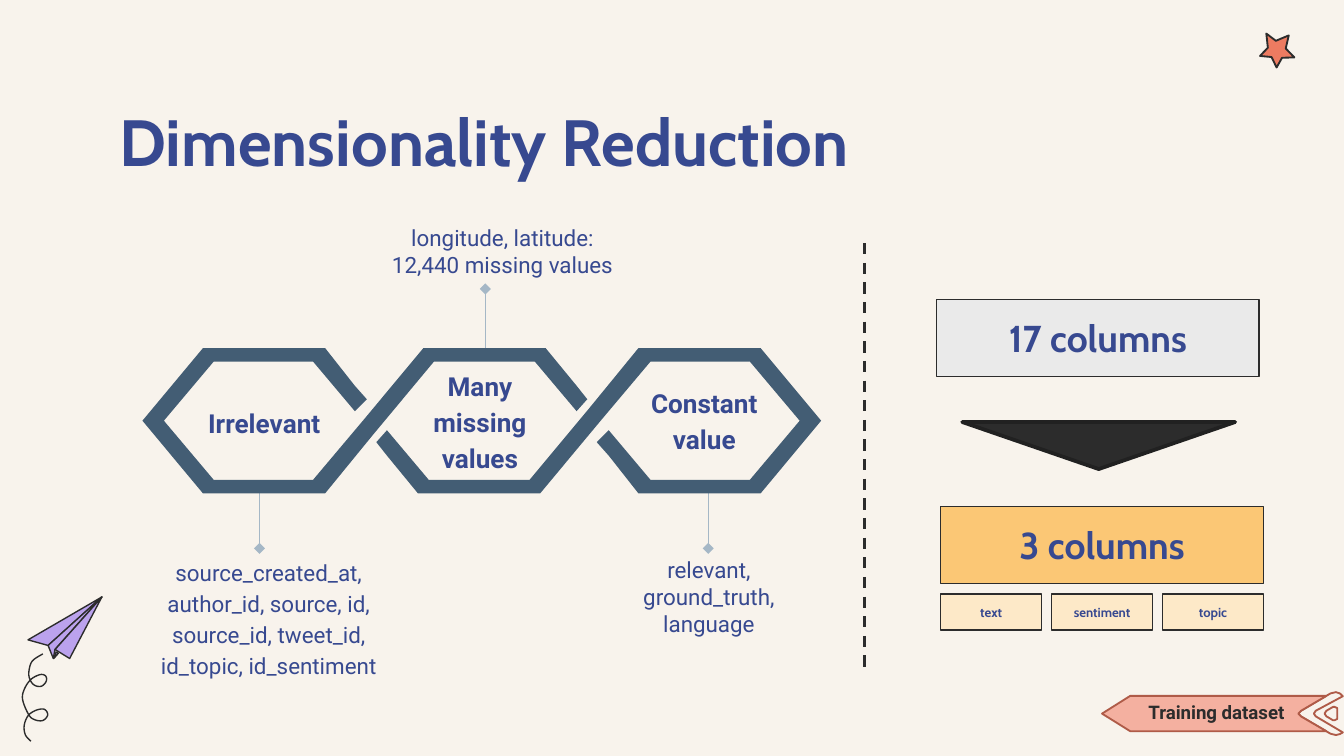
from collections import namedtuple
from dataclasses import dataclass

from lxml import etree
from pptx import Presentation
from pptx.dml.color import RGBColor
from pptx.enum.dml import MSO_LINE
from pptx.enum.shapes import MSO_CONNECTOR, MSO_SHAPE
from pptx.enum.text import MSO_ANCHOR, PP_ALIGN
from pptx.oxml.ns import qn
from pptx.util import Pt

LEFT, CENTER = PP_ALIGN.LEFT, PP_ALIGN.CENTER
TOP, MIDDLE = MSO_ANCHOR.TOP, MSO_ANCHOR.MIDDLE
RECTANGLE, EXTRACT = MSO_SHAPE.RECTANGLE, MSO_SHAPE.FLOWCHART_EXTRACT
STRAIGHT, DASH = MSO_CONNECTOR.STRAIGHT, MSO_LINE.DASH

Box = namedtuple("Box", "left top width height")


@dataclass(frozen=True)
class Theme:
    paper: str = "F8F3EC"
    blue: str = "374990"
    ink: str = "2C2C2C"
    arrow_edge: str = "212121"
    chain: str = "435D74"
    leader: str = "A5B7C6"
    gray: str = "EAEAEA"
    amber: str = "FBC775"
    pale_amber: str = "FDE9C8"
    coral: str = "ED7B61"
    lilac: str = "BBA2ED"
    pink: str = "F4B0A0"
    rust: str = "AF5B48"
    heading_font: str = "Cabin"
    body_font: str = "Roboto"
    title: int = 35
    count: int = 20
    label: int = 14
    caption: int = 12
    tag: int = 10
    chip: int = 7


THEME = Theme()


def inside(box, left, top, width, height):
    return Box(box.left + left, box.top + top, width, height)


def points(box):
    return [Pt(length) for length in box]


def paint(shape, fill, edge=None, weight=0.75):
    shape.shadow.inherit = False
    if fill:
        shape.fill.solid()
        shape.fill.fore_color.rgb = RGBColor.from_string(fill)
    else:
        shape.fill.background()
    if edge:
        shape.line.color.rgb = RGBColor.from_string(edge)
        shape.line.width = Pt(weight)
    else:
        shape.line.fill.background()


def write(shape, words, size, font=THEME.body_font, bold=False, color=THEME.blue,
          align=CENTER, anchor=TOP, inset=3.6, leading=None, around=None):
    frame = shape.text_frame
    frame.word_wrap = True
    frame.vertical_anchor = anchor
    frame.margin_left = frame.margin_right = Pt(7.2)
    frame.margin_top = frame.margin_bottom = Pt(inset)
    paragraph = frame.paragraphs[0]
    paragraph.text = words
    paragraph.alignment = align
    if leading:
        paragraph.line_spacing = leading
    if around:
        paragraph.space_before = paragraph.space_after = Pt(around)
    paragraph.font.name = font
    paragraph.font.size = Pt(size)
    paragraph.font.bold = bold
    paragraph.font.color.rgb = RGBColor.from_string(color)


def add_text(slide, box, words, size, **style):
    write(slide.shapes.add_textbox(*points(box)), words, size, **style)


def add_panel(slide, box, words, size, fill):
    panel = slide.shapes.add_shape(RECTANGLE, *points(box))
    paint(panel, fill, THEME.ink)
    write(panel, words, size, font=THEME.heading_font, bold=True,
          anchor=MIDDLE, inset=7.2)


def add_outline(slide, box, corners, fill, edge=None, weight=1, close=True):
    placed = [(Pt(box.left + x), Pt(box.top + y)) for x, y in corners]
    builder = slide.shapes.build_freeform(*placed[0])
    builder.add_line_segments(placed[1:], close=close)
    paint(builder.convert_to_shape(), fill, edge, weight)


def add_line(slide, start, end, color, weight):
    line = slide.shapes.add_connector(STRAIGHT, *points(start + end))
    line.line.color.rgb = RGBColor.from_string(color)
    line.line.width = Pt(weight)
    etree.SubElement(line._element.spPr, qn("a:effectLst"))
    return line


def smooth(knots, steps=6):
    padded = [knots[0], *knots, knots[-1]]
    curve = []
    for a, b, c, d in zip(padded, padded[1:], padded[2:], padded[3:]):
        for step in range(steps):
            t = step / steps
            curve.append(tuple(
                0.5 * (2 * q + (r - p) * t + (2 * p - 5 * q + 4 * r - s) * t ** 2
                       + (3 * q - p - 3 * r + s) * t ** 3)
                for p, q, r, s in zip(a, b, c, d)))
    return curve + [knots[-1]]


def draw_star(slide, box):
    corners = [(1, 13), (5.2, 8.6), (4.4, 1), (9.5, 4.9), (16.4, 2), (14.8, 9),
               (19.4, 13.8), (12.8, 14), (9.9, 19.2), (7.2, 13.6)]
    add_outline(slide, box, corners, THEME.coral, THEME.ink)


def draw_paper_plane(slide, box):
    tip = (39.6, 0)
    folds = [
        [tip, (0, 23), (10.8, 26)],
        [tip, (10.8, 26), (13.6, 33), (14.5, 28.2)],
        [tip, (14.5, 28.2), (22.3, 33)],
        [(15.1, 29.5), (16.3, 30.2), (13.8, 33)],
    ]
    for fold in folds:
        add_outline(slide, box, fold, THEME.lilac, THEME.ink, 0.75)
    trail = [(8, 30.5), (2.3, 34.4), (0.5, 40.2), (1.2, 44.5), (3.7, 47.4),
             (7.3, 47.8), (9.8, 45.2), (9.5, 42.4), (6.6, 41.6), (1.6, 44.2),
             (-2, 49.6), (-2.8, 55.2), (0.5, 63.2), (3.7, 65.8), (8, 66.2),
             (10.6, 63.2), (8.8, 60.2), (4.4, 60.7), (0.1, 63.6), (-2, 69),
             (-1.3, 74), (1.6, 77.3)]
    add_outline(slide, box, smooth(trail), None, THEME.ink, 0.75, close=False)


def draw_reasons(slide, box):
    for x, start, end in ((67, 143, 177.8), (307.4, 143, 177.8), (188, 74, 38.8)):
        leader = add_line(slide, (box.left + x, box.top + start),
                          (box.left + x, box.top + end), THEME.leader, 0.75)
        etree.SubElement(leader.line._get_or_add_ln(), qn("a:tailEnd"), type="diamond")

    chain = inside(box, 4.3, 70.5, 363.6, 77.8)
    links = [(32.4, 0), (0, 38.9), (32.4, 77.8), (97.9, 77.8), (123.8, 46.1),
             (156.2, 7.2), (210.2, 7.2), (232.6, 33.8), (238.3, 27.4),
             (232.6, 20.2), (216, 0), (150.5, 0), (118.1, 38.9), (91.4, 70.6),
             (38.2, 70.6), (11.5, 38.9), (38.2, 7.2), (91.4, 7.2),
             (113.8, 33.8), (120.2, 27.4), (113.8, 20.2), (97.9, 0)]
    turned = [(chain.width - x, chain.height - y) for x, y in links]
    for corners in (links, turned):
        add_outline(slide, chain, corners, THEME.chain)

    reasons = [("Irrelevant", 32.4, 96.4, 25, LEFT),
               ("Many missing values", 146.2, 76.2, 65, CENTER),
               ("Constant value", 266.4, 85.6, 45, CENTER)]
    for words, left, top, height, align in reasons:
        add_text(slide, inside(box, left, top, 77.8, height), words, THEME.label,
                 bold=True, align=align, leading=1.15, around=3)

    add_text(slide, inside(box, 2.2, 177.8, 139.7, 73),
             "source_created_at, author_id, source, id, source_id, tweet_id, "
             "id_topic, id_sentiment", THEME.caption, leading=1.15, around=3)
    add_text(slide, inside(box, 248.4, 178.5, 118.8, 51),
             "relevant, ground_truth, language", THEME.caption)
    add_text(slide, inside(box, 126.7, 0.6, 141.1, 36),
             "longitude, latitude: 12,440 missing values", THEME.caption)


def draw_reduction(slide, box):
    panel_width, panel_height = 172.8, 41
    add_panel(slide, inside(box, 0, 0, panel_width, panel_height),
              "17 columns", THEME.count, THEME.gray)
    arrow = slide.shapes.add_shape(EXTRACT, *points(inside(box, 13.7, 65.5, 146.2, 25.2)))
    arrow.rotation = 180
    paint(arrow, THEME.ink, THEME.arrow_edge, 2)
    kept = inside(box, 2.2, 110.9, panel_width, panel_height)
    add_panel(slide, kept, "3 columns", THEME.count, THEME.amber)

    columns = ("text", "sentiment", "topic")
    chip_width = 54
    pitch = (panel_width - chip_width) / (len(columns) - 1)
    for index, column in enumerate(columns):
        add_panel(slide, inside(kept, index * pitch, 46.7, chip_width, 19.4),
                  column, THEME.chip, THEME.pale_amber)


def draw_dataset_tag(slide, box):
    feather = [(125.3, 0), (127.4, 0.7), (129, 2.2), (114.5, 10), (113.5, 11.5),
               (114.5, 13), (129, 21.6), (127.4, 22.5), (125.3, 23),
               (122.4, 22.3), (106.6, 13), (105.2, 11.5), (106.6, 10), (122.4, 0.7)]
    notch = [(124.6, 7.9), (126, 8.6), (126, 14.4), (124.6, 15.1), (123.8, 15.1),
             (120.2, 13), (119.2, 11.5), (120.2, 10), (123.8, 7.9)]
    shaft = [(120.2, 2), (106.6, 10), (105.2, 11.5), (106.6, 13), (120.2, 20.9),
             (15.1, 20.9), (0, 11.5), (15.1, 2)]
    for corners, fill in ((feather, THEME.paper), (notch, THEME.paper), (shaft, THEME.pink)):
        add_outline(slide, box, corners, fill, THEME.rust)
    add_text(slide, inside(box, 11.5, 1.4, 99.4, 19.4), "Training dataset",
             THEME.tag, bold=True, color=THEME.ink)


def main():
    deck = Presentation()
    deck.slide_width, deck.slide_height = Pt(720), Pt(405)
    slide = deck.slides.add_slide(deck.slide_layouts[6])
    slide.background.fill.solid()
    slide.background.fill.fore_color.rgb = RGBColor.from_string(THEME.paper)

    draw_star(slide, Box(674, 17, 20, 20))
    draw_paper_plane(slide, Box(15, 319.8, 40, 78))
    add_text(slide, Box(56.9, 46.8, 607, 45.4), "Dimensionality Reduction", THEME.title,
             font=THEME.heading_font, bold=True, align=LEFT, inset=7.2)
    draw_reasons(slide, Box(72, 116, 368, 251))
    divider = add_line(slide, (463, 130.3), (463, 358.6), THEME.ink, 1.5)
    divider.line.dash_style = DASH
    draw_reduction(slide, Box(501.8, 160.6, 175, 177))
    draw_dataset_tag(slide, Box(590.4, 370.8, 129, 23))
    deck.save("out.pptx")


if __name__ == "__main__":
    main()
